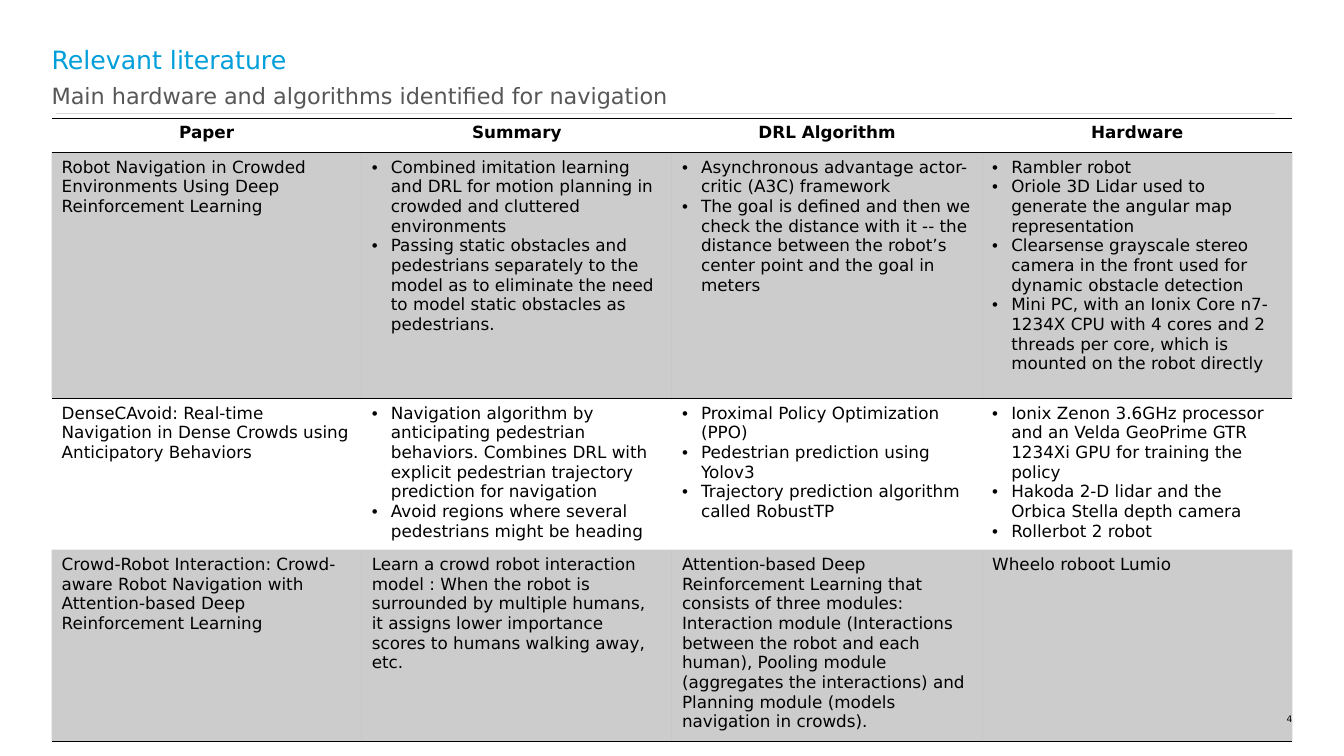
from dataclasses import dataclass
from lxml import etree
from pptx import Presentation
from pptx.dml.color import RGBColor as RGB
from pptx.enum.shapes import MSO_CONNECTOR as Connector
from pptx.enum.text import PP_ALIGN as Align
from pptx.oxml.ns import qn
from pptx.util import Cm, Pt


@dataclass(frozen=True)
class Theme:
    font: str = "DejaVu Sans"
    title: RGB = RGB(0x00, 0x9F, 0xDA)
    subtitle: RGB = RGB(0x57, 0x57, 0x57)
    ink: RGB = RGB(0, 0, 0)
    rule: RGB = RGB(0xD9, 0xD9, 0xD9)
    title_size: float = 18
    subtitle_size: float = 16
    table_size: float = 12
    number_size: float = 6.5
    band_opacity: int = 20


theme = Theme()
LEFT, WIDTH = 1.3, 31.27


def style(paragraph, size, color, bold=False, align=Align.LEFT):
    paragraph.alignment = align
    for run in paragraph.runs:
        font = run.font
        font.name, font.size, font.bold = theme.font, Pt(size), bold
        font.color.rgb = color


def add_border(properties, position, side):
    line = etree.Element(qn(f"a:ln{side}"), w=str(Pt(1)))
    fill = etree.SubElement(line, qn("a:solidFill"))
    etree.SubElement(fill, qn("a:srgbClr"), val=str(theme.ink))
    properties.insert(position, line)


presentation = Presentation()
presentation.slide_width, presentation.slide_height = Cm(33.87), Cm(19.05)
slide = presentation.slides.add_slide(presentation.slide_layouts[6])

# Rule under the headings
rule = slide.shapes.add_connector(Connector.STRAIGHT, Cm(1.4), Cm(2.85), Cm(32.13), Cm(2.85))
rule.line.color.rgb = theme.rule
rule.line.width = Pt(0.75)
etree.SubElement(rule.element.spPr, qn("a:effectLst"))

# Page number, subtitle and title
labels = [
    ("4", 31.7, 17.98, 0.87, 0.28, theme.number_size, theme.ink, Align.RIGHT),
    ("Main hardware and algorithms identified for navigation",
     LEFT, 2.06, WIDTH, 0.81, theme.subtitle_size, theme.subtitle, Align.LEFT),
    ("Relevant literature",
     LEFT, 1.12, WIDTH, 0.94, theme.title_size, theme.title, Align.LEFT),
]
for text, left, top, width, height, size, color, align in labels:
    frame = slide.shapes.add_textbox(Cm(left), Cm(top), Cm(width), Cm(height)).text_frame
    frame.margin_left = frame.margin_right = frame.margin_top = frame.margin_bottom = 0
    frame.word_wrap = True
    frame.text = text
    style(frame.paragraphs[0], size, color, align=align)

# Literature: a list in a cell becomes bullets
literature = [
    ["Paper", "Summary", "DRL Algorithm", "Hardware"],
    ["Robot Navigation in Crowded Environments Using Deep Reinforcement Learning",
     ["Combined imitation learning and DRL for motion planning in crowded and cluttered "
      "environments",
      "Passing static obstacles and pedestrians separately to the model as to eliminate "
      "the need to model static obstacles as pedestrians."],
     ["Asynchronous advantage actor-critic (A3C) framework",
      "The goal is defined and then we check the distance with it -- the distance between "
      "the robot’s center point and the goal in meters"],
     ["Rambler robot",
      "Oriole 3D Lidar used to generate the angular map representation",
      "Clearsense grayscale stereo camera in the front used for dynamic obstacle detection",
      "Mini PC, with an Ionix Core n7-1234X CPU with 4 cores and 2 threads per core, "
      "which is mounted on the robot directly"]],
    ["DenseCAvoid: Real-time Navigation in Dense Crowds using Anticipatory Behaviors",
     ["Navigation algorithm by anticipating pedestrian behaviors. Combines DRL with "
      "explicit pedestrian trajectory prediction for navigation",
      "Avoid regions where several pedestrians might be heading"],
     ["Proximal Policy Optimization (PPO)",
      "Pedestrian prediction using Yolov3",
      "Trajectory prediction algorithm called RobustTP"],
     ["Ionix Zenon 3.6GHz processor and an Velda GeoPrime GTR 1234Xi GPU for training "
      "the policy",
      "Hakoda 2-D lidar and the Orbica Stella depth camera",
      "Rollerbot 2 robot"]],
    ["Crowd-Robot Interaction: Crowd-aware Robot Navigation with Attention-based Deep "
     "Reinforcement Learning",
     "Learn a crowd robot interaction model : When the robot is surrounded by multiple "
     "humans, it assigns lower importance scores to humans walking away, etc.",
     "Attention-based Deep Reinforcement Learning that consists of three modules: "
     "Interaction module (Interactions between the robot and each human), Pooling module "
     "(aggregates the interactions) and Planning module (models navigation in crowds).",
     "Wheelo roboot Lumio"],
]
row_heights = [0.86, 6.2, 3.73, 4.72]
column_count = len(literature[0])
last_row = len(literature) - 1

# Table without a built-in style
table = slide.shapes.add_table(len(literature), column_count, Cm(LEFT), Cm(2.98),
                               Cm(WIDTH), Cm(sum(row_heights))).table
table.first_row = table.horz_banding = False
style_id = table._tbl.tblPr.find(qn("a:tableStyleId"))
style_id.text = "{2D5ABB26-0587-4C30-8999-92F81FD0307C}"
for column in table.columns:
    column.width = Cm(WIDTH / column_count)

for row_index, (entries, height) in enumerate(zip(literature, row_heights)):
    table.rows[row_index].height = Cm(height)
    is_header = row_index == 0
    for column_index, entry in enumerate(entries):
        cell = table.cell(row_index, column_index)
        properties = cell._tc.get_or_add_tcPr()

        # Translucent bands on the odd rows
        if row_index % 2:
            cell.fill.solid()
            cell.fill.fore_color.rgb = theme.ink
            color = properties.find(".//" + qn("a:srgbClr"))
            etree.SubElement(color, qn("a:alpha"), val=str(theme.band_opacity * 1000))
        else:
            cell.fill.background()

        # Lines around the header and below the last row
        if row_index in (0, last_row):
            add_border(properties, 0, "B")
        if row_index in (0, 1):
            add_border(properties, 0, "T")

        # Cell text
        bulleted = isinstance(entry, list)
        cell.text_frame.text = "\n".join(entry) if bulleted else entry
        for paragraph in cell.text_frame.paragraphs:
            style(paragraph, theme.table_size, theme.ink, is_header,
                  Align.CENTER if is_header else Align.LEFT)
            if bulleted:
                layout = paragraph._p.get_or_add_pPr()
                layout.set("marL", str(Cm(0.48)))
                layout.set("indent", str(-Cm(0.48)))
                etree.SubElement(layout, qn("a:buFont"), typeface="Arial")
                etree.SubElement(layout, qn("a:buChar"), char="•")

presentation.save("out.pptx")
